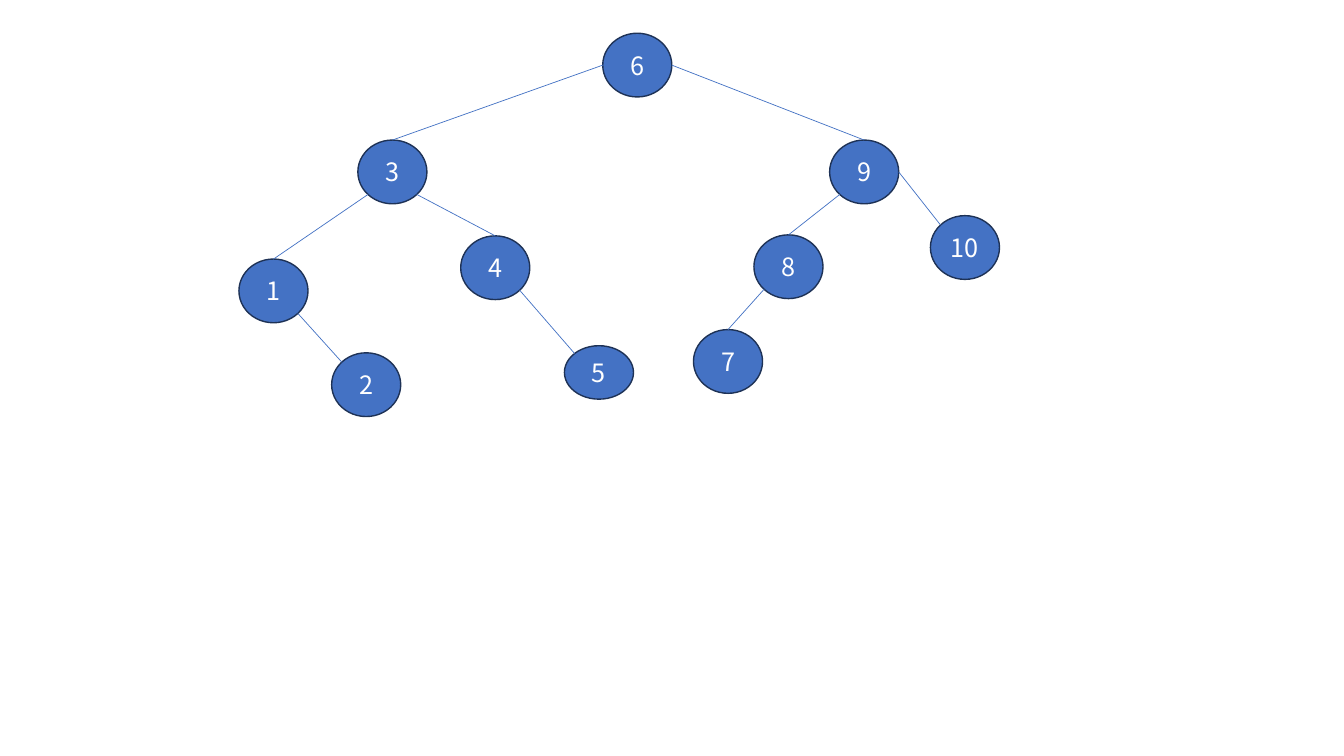
from math import sqrt

from lxml import etree
from pptx import Presentation
from pptx import util as u
from pptx.dml.color import RGBColor
from pptx.enum import shapes, text
from pptx.oxml.ns import qn

BLUE = RGBColor(0x44, 0x72, 0xC4)
NAVY = RGBColor(0x1E, 0x32, 0x56)
WHITE = RGBColor(0xFF, 0xFF, 0xFF)

DIAGONAL = sqrt(0.5)
SITES = {
    "top": (0, -1),
    "left": (-1, 0),
    "right": (1, 0),
    "upper left": (-DIAGONAL, -DIAGONAL),
    "lower left": (-DIAGONAL, DIAGONAL),
    "lower right": (DIAGONAL, DIAGONAL),
}

NODE_WIDTH, NODE_HEIGHT, FLAT_HEIGHT = 5.14, 8.43, 7.07
NODES = {
    6: (44.85, 4.4),
    3: (26.63, 18.53),
    9: (61.73, 18.53),
    1: (17.78, 34.27),
    4: (34.28, 31.2),
    8: (56.1, 31.07),
    10: (69.23, 28.53),
    2: (24.68, 46.67),
    5: (42, 45.73),
    7: (51.6, 43.6),
}
EDGES = [
    (6, "left", 3, "top"),
    (6, "right", 9, "top"),
    (3, "lower left", 1, "top"),
    (3, "lower right", 4, "top"),
    (9, "lower left", 8, "top"),
    (9, "right", 10, "upper left"),
    (1, "lower right", 2, "upper left"),
    (4, "lower right", 5, "upper left"),
    (8, "lower left", 7, "top"),
]


class TreeSlide:
    font = {"name": "Noto Sans CJK SC", "size": u.Pt(18)}
    frame = {
        "vertical_anchor": text.MSO_ANCHOR.MIDDLE,
        "margin_left": 0,
        "margin_right": 0,
        "margin_top": 0,
        "margin_bottom": 0,
    }

    def __init__(self, presentation):
        self.width = presentation.slide_width
        self.height = presentation.slide_height
        self.slide = presentation.slides.add_slide(presentation.slide_layouts[6])

    def across(self, percent):
        return round(self.width * percent / 100)

    def down(self, percent):
        return round(self.height * percent / 100)

    def apply(self, target, values):
        for name, value in values.items():
            setattr(target, name, value)

    def outline(self, item, color, points):
        item.line.color.rgb = color
        item.line.width = u.Pt(points)

    def node(self, label, left, top, height):
        shape = self.slide.shapes.add_shape(
            shapes.MSO_SHAPE.OVAL,
            self.across(left), self.down(top),
            self.across(NODE_WIDTH), self.down(height))
        shape.shadow.inherit = False
        shape.fill.solid()
        shape.fill.fore_color.rgb = BLUE
        self.outline(shape, NAVY, 1)
        self.apply(shape.text_frame, self.frame)
        paragraph = shape.text_frame.paragraphs[0]
        paragraph.alignment = text.PP_ALIGN.CENTER
        run = paragraph.add_run()
        run.text = str(label)
        self.apply(run.font, self.font)
        run.font.color.rgb = WHITE
        return shape

    def site(self, shape, name):
        x, y = SITES[name]
        return (round(shape.left + shape.width * (1 + x) / 2),
                round(shape.top + shape.height * (1 + y) / 2))

    def edge(self, parent, start, child, end):
        connector = self.slide.shapes.add_connector(
            shapes.MSO_CONNECTOR.STRAIGHT,
            *self.site(parent, start), *self.site(child, end))
        self.outline(connector, BLUE, 0.5)
        etree.SubElement(connector._element.spPr, qn("a:effectLst"))


presentation = Presentation()
presentation.slide_width = u.Inches(13.33)
presentation.slide_height = u.Inches(7.5)

tree = TreeSlide(presentation)
nodes = {
    label: tree.node(label, left, top, FLAT_HEIGHT if label == 5 else NODE_HEIGHT)
    for label, (left, top) in NODES.items()
}
for parent, start, child, end in EDGES:
    tree.edge(nodes[parent], start, nodes[child], end)

presentation.save("out.pptx")
